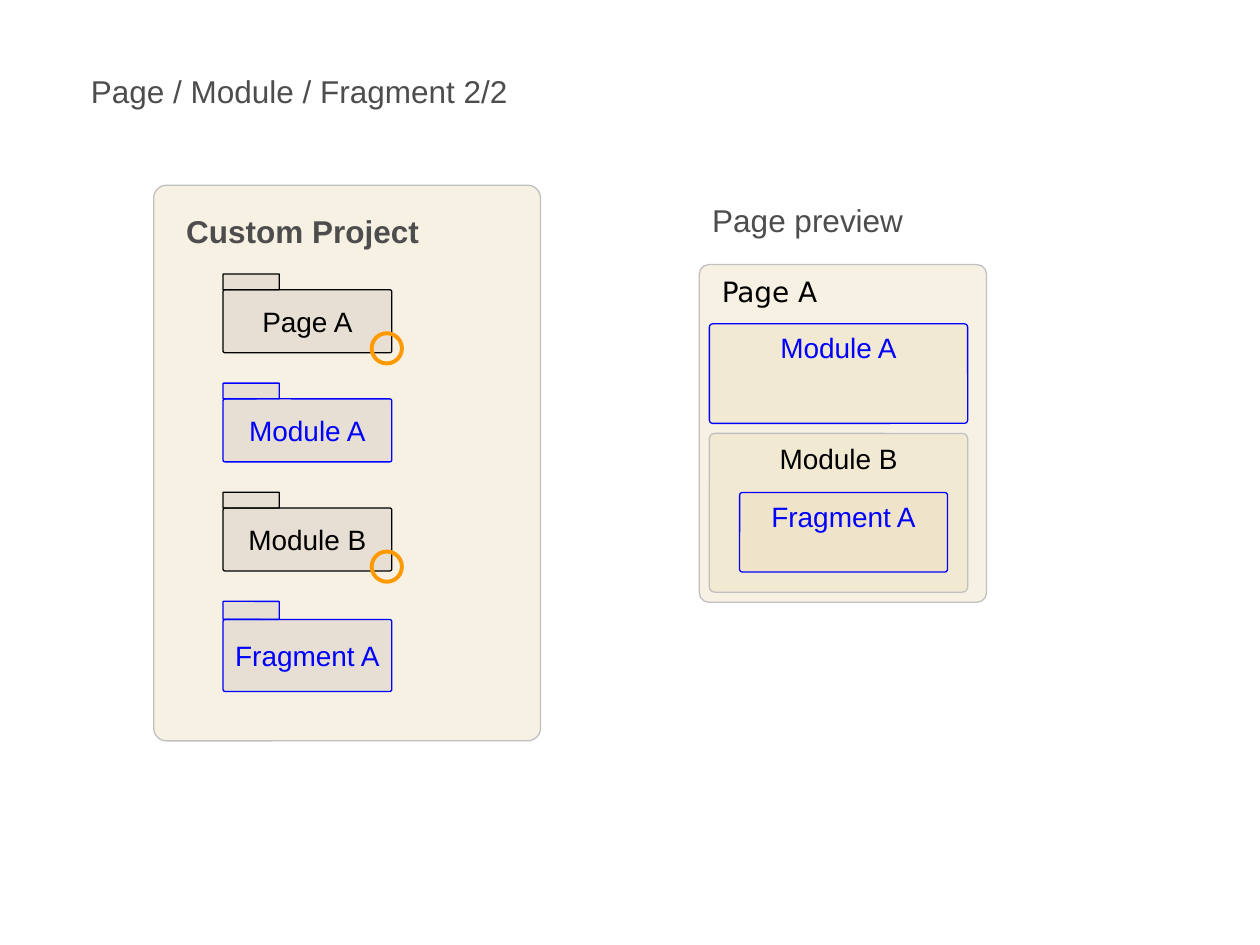
from dataclasses import dataclass

from lxml import etree
from pptx import Presentation
from pptx import util as u
from pptx.dml.color import RGBColor
from pptx.enum import shapes, text
from pptx.oxml import ns

COLUMNS, ROWS = 100, 75
CELL = u.Inches(10) // COLUMNS


@dataclass(frozen=True)
class Theme:
    sand: str = "ECDEBB"
    sand_alpha: int = 40
    stone: str = "CAC0B6"
    stone_alpha: int = 35
    grey: str = "C0C0C0"
    black: str = "000000"
    blue: str = "0000FF"
    orange: str = "FF9900"
    heading: str = "4D4D4D"
    font: str = "Arial"
    page_font: str = "DejaVu Sans"
    heading_size: int = 18
    label_size: int = 16
    thin: float = 0.75
    thick: float = 2.25
    corner: float = 0.033


THEME = Theme()


@dataclass(frozen=True)
class Box:
    """An area in grid columns and rows."""
    left: float
    top: float
    width: float
    height: float

    def inside(self, left, top, width, height):
        return Box(self.left + left, self.top + top, width, height)

    def lengths(self):
        return [round(n * CELL) for n in (self.left, self.top, self.width, self.height)]


def write(shape, words, color, size=THEME.label_size, font=THEME.font, bold=False,
          align=text.PP_ALIGN.CENTER, anchor=text.MSO_ANCHOR.TOP, wrap=False):
    frame = shape.text_frame
    frame.text = words
    frame.word_wrap = wrap
    frame.vertical_anchor = anchor
    para = frame.paragraphs[0]
    para.alignment = align
    span = para.runs[0].font
    span.name, span.size, span.bold = font, u.Pt(size), bold
    span.color.rgb = RGBColor.from_string(color)


def outline(shape, color, width=THEME.thin):
    shape.shadow.inherit = False
    shape.line.color.rgb = RGBColor.from_string(color)
    shape.line.width = u.Pt(width)


def panel(parent, box, line, fill=THEME.sand, alpha=THEME.sand_alpha):
    shape = parent.shapes.add_shape(shapes.MSO_SHAPE.ROUNDED_RECTANGLE, *box.lengths())
    shape.adjustments[0] = THEME.corner
    shape.fill.solid()
    shape.fill.fore_color.rgb = RGBColor.from_string(fill)
    color = shape.fill._xPr.find(".//" + ns.qn("a:srgbClr"))
    etree.SubElement(color, ns.qn("a:alpha")).set("val", str(alpha * 1000))
    outline(shape, line)
    return shape


def label(page, box, words, color=THEME.heading, size=THEME.heading_size, **style):
    shape = page.shapes.add_textbox(*box.lengths())
    write(shape, words, color, size, **style)


def folder(page, box, words, color):
    group = page.shapes.add_group_shape()
    tab_height = box.height * 0.2
    parts = (box.inside(0, tab_height, box.width, box.height - tab_height),
             box.inside(0, 0, box.width / 3, tab_height))
    body, _ = [panel(group, part, color, THEME.stone, THEME.stone_alpha) for part in parts]
    write(body, words, color, anchor=text.MSO_ANCHOR.MIDDLE)


def ring(page, box):
    shape = page.shapes.add_shape(shapes.MSO_SHAPE.OVAL, *box.lengths())
    shape.fill.background()
    outline(shape, THEME.orange, THEME.thick)


def project(page, box):
    panel(page, box, THEME.grey)
    label(page, box.inside(1.6, 1.6, 23.6, 4), "Custom Project",
          bold=True, align=text.PP_ALIGN.LEFT, wrap=True)
    # Folders at equal steps; ringed ones are black, the last one is taller
    folders = [("Page A", THEME.black, 6.25), ("Module A", THEME.blue, 6.25),
               ("Module B", THEME.black, 6.25), ("Fragment A", THEME.blue, 7.15)]
    for row, (words, color, height) in enumerate(folders):
        place = box.inside(5.5, 7.05 + row * 8.66, 13.4, height)
        folder(page, place, words, color)
        if color == THEME.black:
            ring(page, place.inside(11.8, 4.7, 2.4, 2.4))


def preview(page, box):
    label(page, box.inside(0, -5.5, 17.2, 4), "Page preview")
    panel(page, box, THEME.grey)
    label(page, box.inside(0.8, 0.3, 20.5, 3.7), "Page A", THEME.black, THEME.label_size,
          font=THEME.page_font, align=text.PP_ALIGN.LEFT, wrap=True)
    # Nested parts of the page
    parts = [("Module A", (0.8, 4.7, 20.5, 7.9), THEME.blue, THEME.blue),
             ("Module B", (0.8, 13.4, 20.5, 12.6), THEME.grey, THEME.black),
             ("Fragment A", (3.2, 18.1, 16.5, 6.3), THEME.blue, THEME.blue)]
    for words, place, line, color in parts:
        write(panel(page, box.inside(*place), line), words, color)


def main():
    deck = Presentation()
    deck.slide_width, deck.slide_height = COLUMNS * CELL, ROWS * CELL
    page = deck.slides.add_slide(deck.slide_layouts[6])
    label(page, Box(6.2, 5.2, 35.1, 4), "Page / Module / Fragment 2/2")
    project(page, Box(12.2, 14.7, 30.7, 44.1))
    preview(page, Box(55.5, 21, 22.8, 26.8))
    deck.save("out.pptx")


if __name__ == "__main__":
    main()
